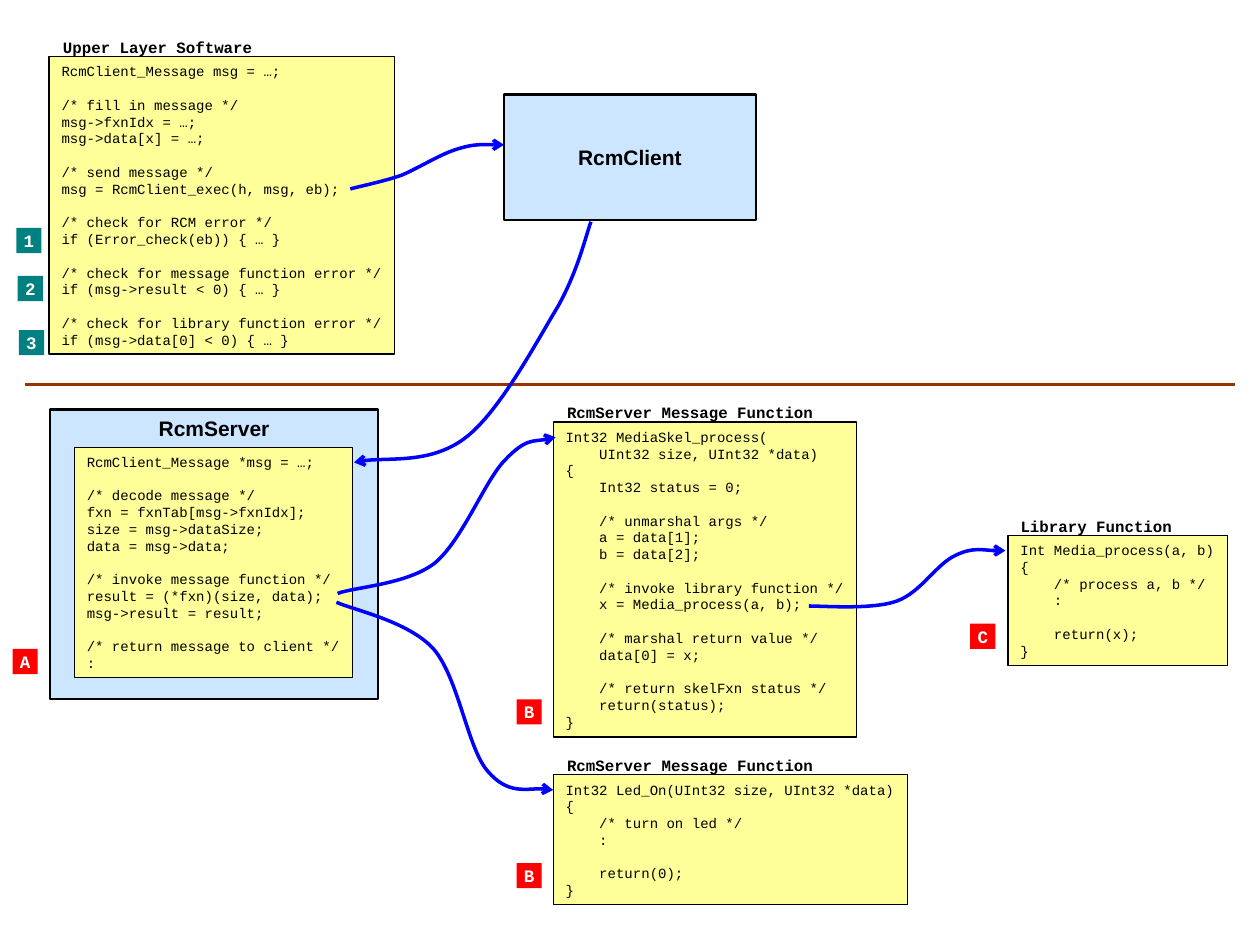
from dataclasses import dataclass

from lxml import etree
from pptx import Presentation
from pptx.dml.color import RGBColor
from pptx.enum.shapes import MSO_CONNECTOR, MSO_SHAPE
from pptx.enum.text import MSO_ANCHOR, PP_ALIGN
from pptx.oxml.ns import qn
from pptx.util import Inches, Pt

RECTANGLE = MSO_SHAPE.RECTANGLE
STRAIGHT = MSO_CONNECTOR.STRAIGHT
LEFT, CENTER = PP_ALIGN.LEFT, PP_ALIGN.CENTER
TOP, MIDDLE = MSO_ANCHOR.TOP, MSO_ANCHOR.MIDDLE


@dataclass(frozen=True)
class Theme:
    black: RGBColor = RGBColor.from_string("000000")
    white: RGBColor = RGBColor.from_string("FFFFFF")
    code_fill: RGBColor = RGBColor.from_string("FFFF99")
    module_fill: RGBColor = RGBColor.from_string("CDE6FF")
    check_fill: RGBColor = RGBColor.from_string("008080")
    error_fill: RGBColor = RGBColor.from_string("FF0000")
    divider: RGBColor = RGBColor.from_string("993300")
    arrow: RGBColor = RGBColor.from_string("0000FF")
    mono: str = "Courier New"
    sans: str = "Arial"
    code_size: Pt = Pt(8)
    code_pitch: Pt = Pt(9.57)
    label_size: Pt = Pt(9)
    badge_size: Pt = Pt(10)
    module_size: Pt = Pt(12)


THEME = Theme()

UPPER_LAYER_CODE = """RcmClient_Message msg = …;

/* fill in message */
msg->fxnIdx = …;
msg->data[x] = …;

/* send message */
msg = RcmClient_exec(h, msg, eb);

/* check for RCM error */
if (Error_check(eb)) { … }

/* check for message function error */
if (msg->result < 0) { … }

/* check for library function error */
if (msg->data[0] < 0) { … }"""

SKELETON_CODE = """Int32 MediaSkel_process(
    UInt32 size, UInt32 *data)
{
    Int32 status = 0;

    /* unmarshal args */
    a = data[1];
    b = data[2];

    /* invoke library function */
    x = Media_process(a, b);

    /* marshal return value */
    data[0] = x;

    /* return skelFxn status */
    return(status);
}"""

LIBRARY_CODE = """Int Media_process(a, b)
{
    /* process a, b */
    :

    return(x);
}"""

LED_CODE = """Int32 Led_On(UInt32 size, UInt32 *data)
{
    /* turn on led */
    :

    return(0);
}"""

SERVER_CODE = """RcmClient_Message *msg = …;

/* decode message */
fxn = fxnTab[msg->fxnIdx];
size = msg->dataSize;
data = msg->data;

/* invoke message function */
result = (*fxn)(size, data);
msg->result = result;

/* return message to client */
:"""

CODE_BOXES = [
    ((0.39, 0.45, 2.74, 2.36), UPPER_LAYER_CODE),
    ((4.39, 3.35, 2.41, 2.5), SKELETON_CODE),
    ((8, 4.25, 1.74, 1.03), LIBRARY_CODE),
    ((4.39, 6.15, 2.81, 1.03), LED_CODE),
]

LABELS = [
    ((8, 4.05, 1.4, 0.25), "Library Function"),
    ((4.4, 3.15, 2.15, 0.25), "RcmServer Message Function"),
    ((4.4, 5.95, 2.15, 0.25), "RcmServer Message Function"),
    ((0.4, 0.25, 1.7, 0.25), "Upper Layer Software"),
]

CALL_CURVES = [
    [(2.78, 1.5), (2.85, 1.48), (3.05, 1.44), (3.19, 1.39), (3.33, 1.33),
     (3.5, 1.22), (3.64, 1.18), (3.77, 1.14), (3.92, 1.15), (4, 1.15)],
    [(4.69, 1.76), (4.65, 1.87), (4.59, 2.14), (4.43, 2.43), (4.26, 2.71),
     (3.97, 3.26), (3.7, 3.47), (3.43, 3.68), (3, 3.62), (2.81, 3.67)],
    [(2.68, 4.71), (2.81, 4.66), (3.23, 4.64), (3.45, 4.47), (3.67, 4.29),
     (3.85, 3.81), (4.01, 3.65), (4.17, 3.48), (4.33, 3.5), (4.41, 3.47)],
    [(2.67, 4.78), (2.8, 4.84), (3.24, 4.93), (3.44, 5.15), (3.64, 5.38),
     (3.71, 5.94), (3.87, 6.12), (4.03, 6.31), (4.28, 6.24), (4.39, 6.27)],
    [(6.42, 4.81), (6.54, 4.81), (6.93, 4.84), (7.12, 4.77), (7.31, 4.7),
     (7.43, 4.48), (7.58, 4.41), (7.72, 4.34), (7.9, 4.38), (7.98, 4.37)],
]

BADGES = [
    (0.13, 1.81, "1", THEME.check_fill), (0.14, 2.19, "2", THEME.check_fill),
    (0.15, 2.62, "3", THEME.check_fill), (0.1, 5.15, "A", THEME.error_fill),
    (4.1, 5.55, "B", THEME.error_fill), (4.1, 6.85, "B", THEME.error_fill),
    (7.7, 4.95, "C", THEME.error_fill),
]


def apply(target, values):
    for name, value in values.items():
        setattr(target, name, value)


def write_text(shape, lines, font, color=THEME.black, align=CENTER,
               anchor=TOP, wrap=False, side=0.1, pitch=None):
    frame = shape.text_frame
    apply(frame, {"word_wrap": wrap, "vertical_anchor": anchor,
                  "margin_left": Inches(side), "margin_right": Inches(side),
                  "margin_top": Inches(0.05), "margin_bottom": Inches(0.05)})
    paragraph = frame.paragraphs[0]
    gap = None
    for index, line in enumerate(lines):
        if not line:
            gap = pitch
            continue
        if index:
            paragraph = frame.add_paragraph()
        apply(paragraph, {"text": line, "alignment": align,
                          "line_spacing": pitch, "space_before": gap})
        apply(paragraph.font, font)
        paragraph.font.color.rgb = color
        gap = None


def add_box(shapes, bounds, fill, line_width=None):
    shape = shapes.add_shape(RECTANGLE, *map(Inches, bounds))
    shape.shadow.inherit = False
    shape.fill.solid()
    shape.fill.fore_color.rgb = fill
    if line_width:
        shape.line.color.rgb = THEME.black
        shape.line.width = Pt(line_width)
    else:
        shape.line.fill.background()
    return shape


def add_code(shapes, bounds, code):
    shape = add_box(shapes, bounds, THEME.code_fill, 0.75)
    font = {"name": THEME.mono, "size": THEME.code_size}
    write_text(shape, code.split("\n"), font, align=LEFT, pitch=THEME.code_pitch)


def add_module(shapes, bounds, name, anchor):
    shape = add_box(shapes, bounds, THEME.module_fill, 1.25)
    font = {"name": THEME.sans, "size": THEME.module_size, "bold": True}
    write_text(shape, [name], font, anchor=anchor)


def add_label(shapes, bounds, text):
    shape = shapes.add_textbox(*map(Inches, bounds))
    write_text(shape, [text], {"name": THEME.mono, "size": THEME.label_size, "bold": True})


def add_badge(shapes, left, top, text, fill):
    shape = add_box(shapes, (left, top, 0.2, 0.2), fill)
    font = {"name": THEME.mono, "size": THEME.badge_size, "bold": True}
    write_text(shape, [text], font, THEME.white, anchor=MIDDLE, wrap=True, side=0.05)


def add_divider(shapes):
    divider = shapes.add_connector(STRAIGHT, *map(Inches, (0.2, 3.05, 9.8, 3.05)))
    apply(divider.line, {"width": Pt(2)})
    divider.line.color.rgb = THEME.divider
    etree.SubElement(divider._element.spPr, qn("a:effectLst"))


def add_curve(shapes, points):
    start, *rest = [tuple(map(Inches, point)) for point in points]
    builder = shapes.build_freeform(*start)
    builder.add_line_segments(rest, close=False)
    shape = builder.convert_to_shape()
    shape.shadow.inherit = False
    shape.fill.background()
    shape.line.color.rgb = THEME.arrow
    shape.line.width = Pt(2)
    outline = next(shape._element.iter(qn("a:path")))
    segments = outline.findall(qn("a:lnTo"))
    for first in range(0, len(segments), 3):
        bezier = etree.SubElement(outline, qn("a:cubicBezTo"))
        for segment in segments[first:first + 3]:
            bezier.append(segment[0])
            outline.remove(segment)
    etree.SubElement(shape.line._get_or_add_ln(), qn("a:tailEnd"), type="arrow")


def main():
    presentation = Presentation()
    apply(presentation, {"slide_width": Inches(10), "slide_height": Inches(7.5)})
    slide = presentation.slides.add_slide(presentation.slide_layouts[6])
    shapes = slide.shapes
    for bounds, code in CODE_BOXES:
        add_code(shapes, bounds, code)
    for bounds, text in LABELS:
        add_label(shapes, bounds, text)
    add_module(shapes, (4, 0.75, 2, 1), "RcmClient", MIDDLE)
    server = shapes.add_group_shape().shapes
    add_module(server, (0.4, 3.25, 2.6, 2.3), "RcmServer", TOP)
    add_code(server, (0.59, 3.55, 2.21, 1.83), SERVER_CODE)
    add_divider(shapes)
    for points in CALL_CURVES:
        add_curve(shapes, points)
    for badge in BADGES:
        add_badge(shapes, *badge)
    presentation.save("out.pptx")


if __name__ == "__main__":
    main()
